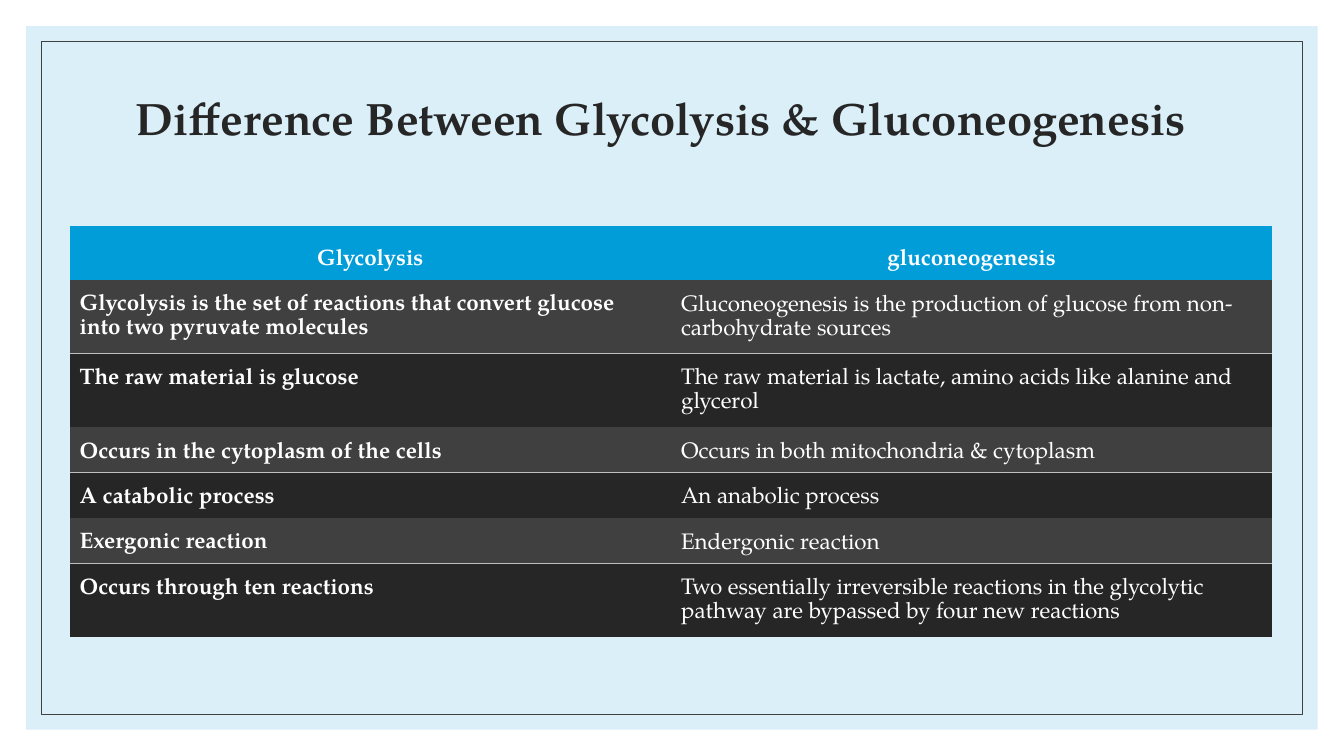
from lxml.etree import SubElement
from pptx import Presentation
from pptx.dml.color import RGBColor
from pptx.enum.shapes import MSO_SHAPE
from pptx.enum.text import MSO_ANCHOR, PP_ALIGN
from pptx.oxml.ns import qn
from pptx.util import Inches, Pt

WIDE, HIGH = 13.33, 7.5
FONT = "TeX Gyre Pagella"
HUES = {"pale": "DBEFF9", "head": "009DD9", "odd": "404040",
        "even": "262626", "rule": "BFBFBF", "white": "FFFFFF"}
TITLE = "Difference Between Glycolysis & Gluconeogenesis"
ROWS = [
    ("Glycolysis", "gluconeogenesis"),
    ("Glycolysis is the set of reactions that convert glucose into two pyruvate molecules",
     "Gluconeogenesis is the production of glucose from non-carbohydrate sources"),
    ("The raw material is glucose",
     "The raw material is lactate, amino acids like alanine and glycerol"),
    ("Occurs in the cytoplasm of the cells", "Occurs in both mitochondria & cytoplasm"),
    ("A catabolic process", "An anabolic process"),
    ("Exergonic reaction", "Endergonic reaction"),
    ("Occurs through ten reactions",
     "Two essentially irreversible reactions in the glycolytic pathway "
     "are bypassed by four new reactions"),
]
TALLS = [0.54, 0.73, 0.73, 0.45, 0.45, 0.45, 0.73]


def hue(name):
    """Return the named colour."""
    return RGBColor.from_string(HUES[name])


def inset(edge):
    """Return the box that lies the given inches inside the slide."""
    return edge, edge, WIDE - 2 * edge, HIGH - 2 * edge


def write(frame, text, size=16, color="white", bold=False,
          align=PP_ALIGN.LEFT, line=1.07, after=8):
    """Put one formatted paragraph into a text frame."""
    para = frame.paragraphs[0]
    para.alignment, para.line_spacing, para.space_after = align, line, Pt(after)
    run = para.add_run()
    run.text = text
    font = run.font
    font.name, font.size, font.bold = FONT, Pt(size), bold
    font.color.rgb = hue(color)


def panel(slide, box, fill=None, line=None):
    """Draw a plain rectangle with a fill or an outline."""
    rect = slide.shapes.add_shape(MSO_SHAPE.RECTANGLE, *map(Inches, box))
    rect.shadow.inherit = False
    if fill:
        rect.fill.solid()
        rect.fill.fore_color.rgb = hue(fill)
    else:
        rect.fill.background()
    if line:
        rect.line.color.rgb = hue(line)
        rect.line.width = Pt(0.5)
    else:
        rect.line.fill.background()


def title(slide, box):
    """Place the heading in the middle of its box's height."""
    frame = slide.shapes.add_textbox(*map(Inches, box)).text_frame
    frame.word_wrap = True
    frame.vertical_anchor = MSO_ANCHOR.MIDDLE
    write(frame, TITLE, size=32.4, color="even", bold=True, line=0.9, after=0)


def edges(cell, ruled):
    """Rule the named sides of a cell and clear the others."""
    props = cell._tc.get_or_add_tcPr()
    for spot, side in enumerate("LRTB"):
        line = props.makeelement(qn(f"a:ln{side}"), {"w": str(Pt(1))})
        props.insert(spot, line)
        if side in ruled:
            solid = SubElement(line, qn("a:solidFill"))
            SubElement(solid, qn("a:srgbClr"), val=HUES["rule"])
        else:
            SubElement(line, qn("a:noFill"))


def grid(slide, box):
    """Build the comparison table with a header and paired dark rows."""
    table = slide.shapes.add_table(len(ROWS), 2, *map(Inches, box)).table
    for col in table.columns:
        col.width = Inches(box[2] / 2)
    for r, (tall, texts) in enumerate(zip(TALLS, ROWS)):
        table.rows[r].height = Inches(tall)
        head = r == 0
        tone, ruled = ("head", "") if head else ("odd", "B") if r % 2 else ("even", "T")
        for c, text in enumerate(texts):
            cell = table.cell(r, c)
            cell.fill.solid()
            cell.fill.fore_color.rgb = hue(tone)
            cell.margin_left = cell.margin_right = Inches(0.1)
            cell.margin_top, cell.margin_bottom = Inches(0.13), 0
            cell.vertical_anchor = MSO_ANCHOR.MIDDLE if head else MSO_ANCHOR.TOP
            write(cell.text_frame, text, bold=head or c == 0,
                  align=PP_ALIGN.CENTER if head else PP_ALIGN.LEFT)
            edges(cell, ruled)


def main():
    """Build and save the slide."""
    deck = Presentation()
    deck.slide_width, deck.slide_height = Inches(WIDE), Inches(HIGH)
    slide = deck.slides.add_slide(deck.slide_layouts[6])
    panel(slide, inset(0.26), fill="pale")
    panel(slide, inset(0.41), line="odd")
    title(slide, (1.25, 0.61, 10.81, 1.17))
    grid(slide, (0.69, 2.24, 11.93, sum(TALLS)))
    deck.save("out.pptx")


main()
